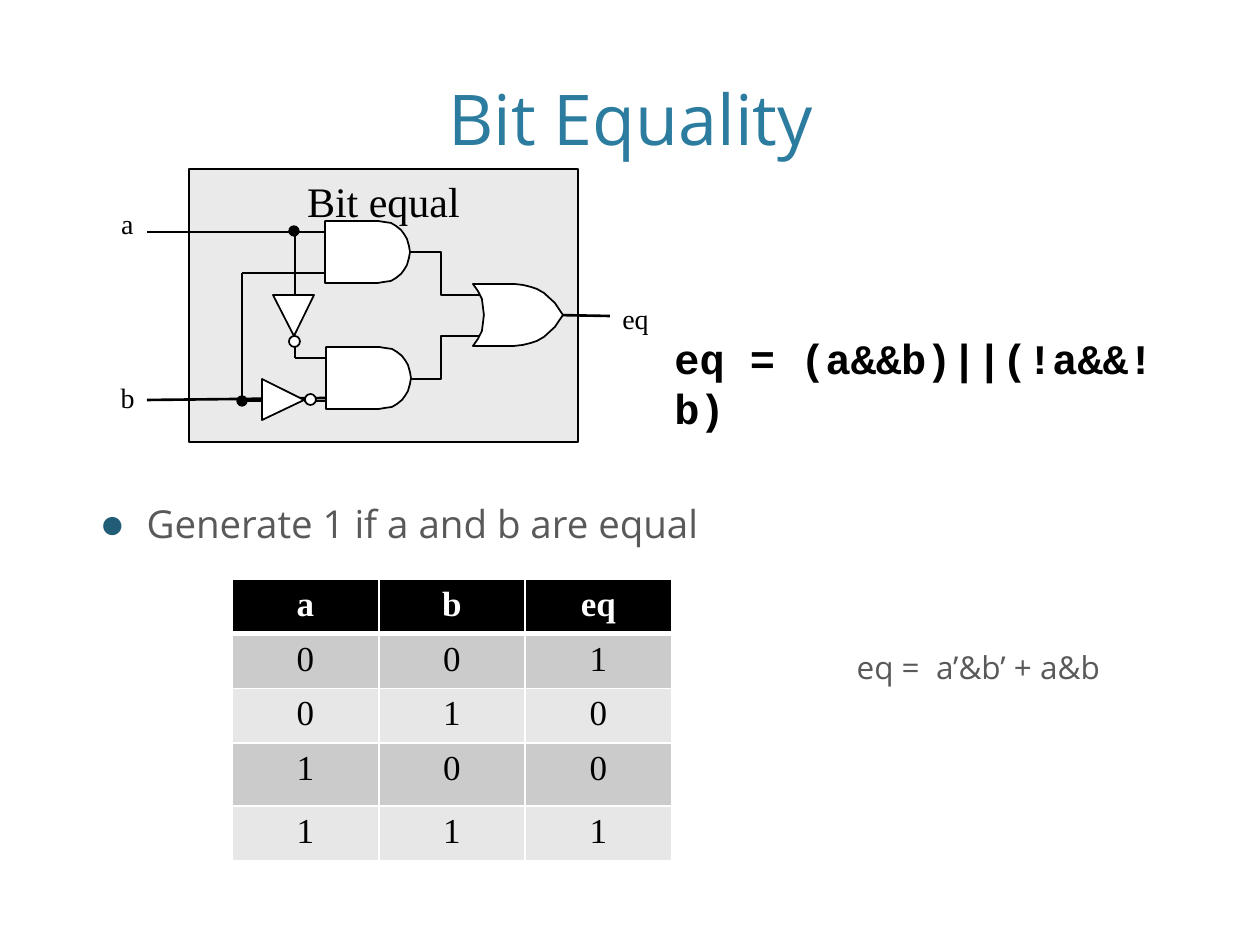
import pptx
import pptx.util
import pptx.dml.color
import pptx.enum.shapes
import pptx.enum.text
import pptx.oxml
import pptx.oxml.ns

EMU_PER_PX = 914400 / 126
SERIF = "Times New Roman"
SANS = "Open Sans"
MONO = "Courier New"
ALIGN = pptx.enum.text.PP_ALIGN
PRESET = pptx.enum.shapes.MSO_SHAPE

WIRES = [
    [(410, 252), (441, 252), (441, 295), (484, 295)],
    [(410, 379), (441, 379), (441, 336), (484, 336)],
    [(556, 315), (610, 316)],
    [(147, 232), (325, 232)],
    [(242, 273), (325, 273)],
    [(147, 400), (326, 398)],
    [(242, 400), (242, 273)],
    [(242, 401), (262, 401)],
    [(304, 401), (325, 401)],
    [(295, 231), (295, 295)],
    [(295, 336), (295, 358)],
    [(295, 358), (325, 358)],
]
AND_HALF = [(0, 31), (0, 0), (53, 0), (59, 1), (66, 2), (71, 5), (76, 9),
            (79, 13), (82, 18), (84, 25), (85, 31)]
OR_HALF = [(11, 31), (10, 23), (9, 15), (5, 7), (0, 0), (41, 0), (50, 1),
           (58, 3), (64, 5), (71, 9), (82, 19), (90, 31)]
TRUTH_TABLE = [("a", "b", "eq"), (0, 0, 1), (0, 1, 0), (1, 0, 0), (1, 1, 1)]


def px(length):
    return pptx.util.Emu(round(length * EMU_PER_PX))


def color(value):
    return pptx.dml.color.RGBColor.from_string(value)


def add_xml(parent, markup):
    namespace = pptx.oxml.ns.nsdecls("a")
    parent.append(pptx.oxml.parse_xml(markup.replace("@", namespace, 1)))


def place(shape, left, top, width, height):
    shape.left, shape.top = px(left), px(top)
    shape.width, shape.height = px(width), px(height)


def style_text(paragraph, text, size, font, fill, align=ALIGN.LEFT, bold=False):
    paragraph.text = text
    paragraph.alignment = align
    paragraph.font.size = pptx.util.Pt(size)
    paragraph.font.name = font
    paragraph.font.bold = bold
    paragraph.font.color.rgb = color(fill)


def style_shape(shape, fill, line_width):
    shape.shadow.inherit = False
    if fill:
        shape.fill.solid()
        shape.fill.fore_color.rgb = color(fill)
    else:
        shape.fill.background()
    shape.line.color.rgb = color("000000")
    shape.line.width = pptx.util.Pt(line_width)


def add_preset(slide, kind, box, fill, line_width):
    shape = slide.shapes.add_shape(kind, *map(px, box))
    style_shape(shape, fill, line_width)
    return shape


def add_outline(slide, points, fill, line_width, close):
    builder = slide.shapes.build_freeform(*points[0], scale=EMU_PER_PX)
    builder.add_line_segments(points[1:], close=close)
    style_shape(builder.convert_to_shape(), fill, line_width)


def add_wire(slide, points):
    if len(points) > 2:
        add_outline(slide, points, None, 1.5, False)
        return
    ends = [px(length) for point in points for length in point]
    line = slide.shapes.add_connector(pptx.enum.shapes.MSO_CONNECTOR.STRAIGHT, *ends)
    line.line.color.rgb = color("000000")
    line.line.width = pptx.util.Pt(1.5)
    add_xml(line._element.spPr, "<a:effectLst @/>")


def add_gate(slide, left, top, half):
    mirrored = [(x, 62 - y) for x, y in reversed(half[1:-1])]
    points = [(left + x, top + y) for x, y in half + mirrored]
    add_outline(slide, points, "FFFFFF", 1, True)


def add_inverter(slide, triangle, bubble):
    add_outline(slide, triangle, "FFFFFF", 1, True)
    add_preset(slide, PRESET.OVAL, bubble, "FFFFFF", 1)


def add_label(slide, text, box, size, font=SERIF, align=ALIGN.LEFT, bold=False):
    frame = slide.shapes.add_textbox(*map(px, box)).text_frame
    frame.word_wrap = False
    style_text(frame.paragraphs[0], text, size, font, "000000", align, bold)


def add_title(slide):
    title = slide.shapes.title
    place(title, 76, 15, 1109, 145)
    frame = title.text_frame
    frame.auto_size = pptx.enum.text.MSO_AUTO_SIZE.NONE
    frame.vertical_anchor = pptx.enum.text.MSO_ANCHOR.BOTTOM
    frame.margin_bottom = 0
    style_text(frame.paragraphs[0], "Bit Equality", 40, SANS, "2C7C9F", ALIGN.CENTER)


def add_body(slide):
    body = slide.placeholders[1]
    place(body, 40, 494, 1145, 393)
    frame = body.text_frame
    frame.auto_size = pptx.enum.text.MSO_AUTO_SIZE.NONE
    bullet = frame.paragraphs[0]
    style_text(bullet, "Generate 1 if a and b are equal", 22, SANS, "595959")
    bullet.space_before = pptx.util.Pt(0)
    properties = bullet._p.get_or_add_pPr()
    properties.set("marL", str(px(94)))
    properties.set("indent", str(px(-47)))
    add_xml(properties, '<a:buClr @><a:srgbClr val="215D77"/></a:buClr>')
    add_xml(properties, '<a:buSzPct @ val="110000"/>')
    add_xml(properties, '<a:buChar @ char="●"/>')

    formula = frame.add_paragraph()
    style_text(formula, "eq =  a’&b’ + a&b", 18, SANS, "595959")
    formula.space_before = pptx.util.Pt(58)
    properties = formula._p.get_or_add_pPr()
    properties.set("marL", str(px(804)))
    properties.set("indent", "0")
    add_xml(properties, "<a:buNone @/>")


def add_circuit(slide):
    block = add_preset(slide, PRESET.RECTANGLE, (189, 169, 389, 273), "EAEAEA", 0.75)
    block.text_frame.word_wrap = False
    block.text_frame.vertical_anchor = pptx.enum.text.MSO_ANCHOR.TOP
    style_text(block.text_frame.paragraphs[0], "Bit equal", 24, SERIF, "000000", ALIGN.CENTER)
    for points in WIRES:
        add_wire(slide, points)
    add_gate(slide, 325, 221, AND_HALF)
    add_gate(slide, 326, 347, AND_HALF)
    add_gate(slide, 473, 284, OR_HALF)
    add_inverter(slide, [(314, 295), (273, 295), (294, 336)], (289, 336, 11, 11))
    add_inverter(slide, [(262, 420), (262, 379), (304, 400)], (305, 394, 11, 11))
    for left, top in [(289, 226), (237, 396)]:
        add_preset(slide, PRESET.OVAL, (left, top, 10, 10), "000000", 0.75)
    add_label(slide, "a", (108, 200, 38, 48), 16, align=ALIGN.RIGHT)
    add_label(slide, "b", (106, 374, 41, 47), 16, align=ALIGN.RIGHT)
    add_label(slide, "eq", (610, 295, 83, 47), 16)


def add_border(cell, side, width):
    add_xml(cell._tc.get_or_add_tcPr(),
            f'<a:{side} @ w="{pptx.util.Pt(width)}"><a:solidFill>'
            f'<a:srgbClr val="FFFFFF"/></a:solidFill></a:{side}>')


def add_truth_table(slide):
    table = slide.shapes.add_table(5, 3, px(232), px(579), px(440), px(279)).table
    for column, width in zip(table.columns, (147, 146, 147)):
        column.width = px(width)
    for row, height in zip(table.rows, (54, 54, 54, 63, 54)):
        row.height = px(height)
    for row, values in enumerate(TRUTH_TABLE):
        header = row == 0
        fill = "000000" if header else ("E7E7E7", "CBCBCB")[row % 2]
        for column, value in enumerate(values):
            cell = table.cell(row, column)
            style_text(cell.text_frame.paragraphs[0], str(value), 20, SERIF,
                       "FFFFFF" if header else "000000", ALIGN.CENTER, header)
            add_border(cell, "lnL", 1)
            add_border(cell, "lnR", 1)
            add_border(cell, "lnT", 3 if row == 1 else 1)
            add_border(cell, "lnB", 3 if header else 1)
            cell.fill.solid()
            cell.fill.fore_color.rgb = color(fill)


def main():
    presentation = pptx.Presentation()
    presentation.slide_width = px(1260)
    presentation.slide_height = px(945)
    slide = presentation.slides.add_slide(presentation.slide_layouts[1])
    add_title(slide)
    add_body(slide)
    add_circuit(slide)
    add_label(slide, "eq = (a&&b)||(!a&&!b)", (662, 326, 553, 64), 24, MONO, bold=True)
    add_truth_table(slide)
    presentation.save("out.pptx")


if __name__ == "__main__":
    main()
